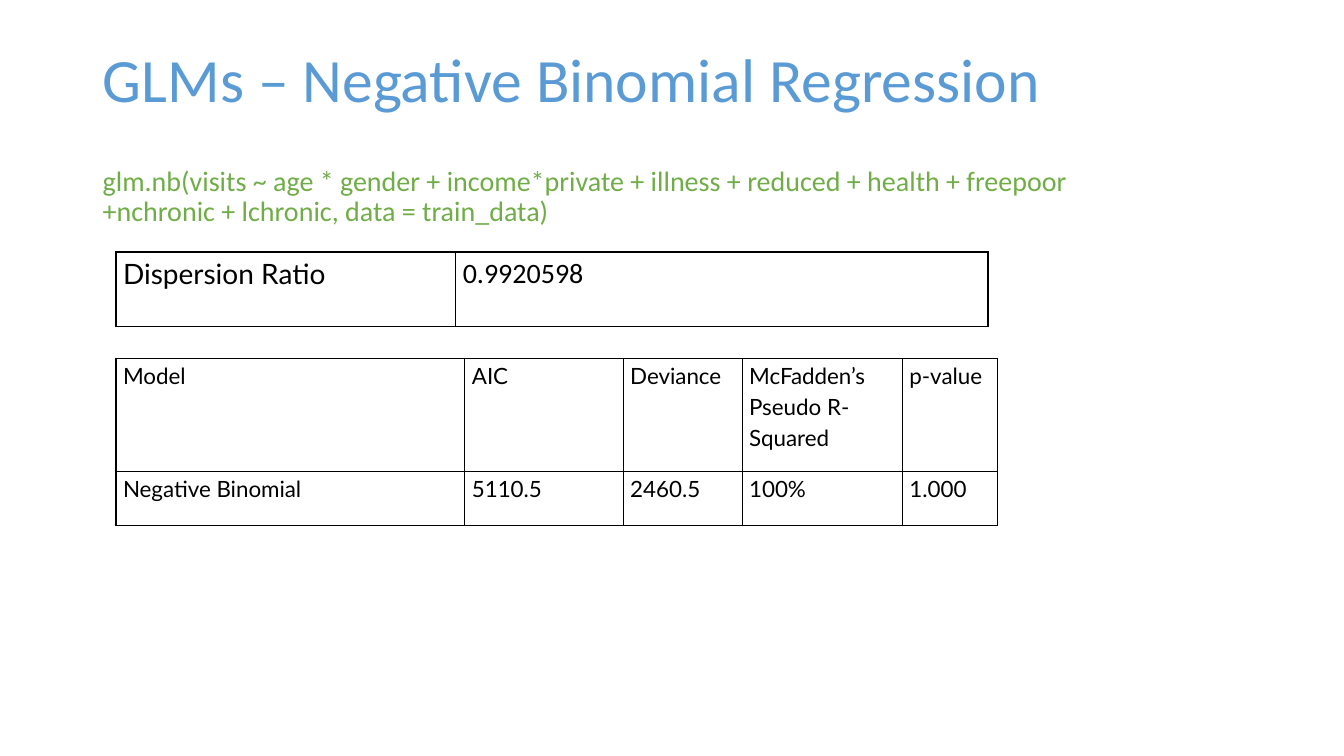
from dataclasses import dataclass

from lxml import etree
from pptx import Presentation
from pptx import util as u
from pptx.dml.color import RGBColor
from pptx.enum import text
from pptx.oxml import ns

COLORS = {"title": "5B9BD5", "formula": "70AD47", "ink": "000000"}
SLIDE_WIDTH, SLIDE_HEIGHT = u.Inches(13.33), u.Inches(7.5)
CELL_INSET = u.Inches(0.07)
BORDER_WIDTH = u.Pt(1)


@dataclass
class TableBlock:
    """Position, columns and rows are percentages of the slide."""
    top: float
    columns: list[float]
    rows: list[float]
    cells: list[list[str]]
    size: int
    fonts: list[str]
    left: float = 8.63


def across(percent: float) -> int:
    return round(SLIDE_WIDTH * percent / 100)


def down(percent: float) -> int:
    return round(SLIDE_HEIGHT * percent / 100)


def place(shape, left: float, top: float, width: float, height: float) -> None:
    shape.left, shape.top = across(left), down(top)
    shape.width, shape.height = across(width), down(height)


def write(frame, content: str, font: str, size: int, color: str,
          line_spacing: float, space_after: int = 0) -> None:
    frame.text = content
    frame.word_wrap = True
    paragraph = frame.paragraphs[0]
    paragraph.alignment = text.PP_ALIGN.LEFT
    paragraph.line_spacing = line_spacing
    paragraph.space_before = u.Pt(0)
    paragraph.space_after = u.Pt(space_after)
    for run in paragraph.runs:
        run.font.name = font
        run.font.size = u.Pt(size)
        run.font.color.rgb = RGBColor.from_string(COLORS[color])


def add_borders(cell) -> None:
    properties = cell._tc.get_or_add_tcPr()
    for side in ("lnL", "lnR", "lnT", "lnB"):
        line = etree.SubElement(properties, ns.qn(f"a:{side}"), w=str(BORDER_WIDTH))
        fill = etree.SubElement(line, ns.qn("a:solidFill"))
        etree.SubElement(fill, ns.qn("a:srgbClr"), val=COLORS["ink"])


def draw_table(slide, block: TableBlock) -> None:
    table = slide.shapes.add_table(
        len(block.rows), len(block.columns), across(block.left), down(block.top),
        across(sum(block.columns)), down(sum(block.rows))).table
    table.first_row = table.horz_banding = False
    for column, width in zip(table.columns, block.columns):
        column.width = across(width)
    for row, height, contents in zip(table.rows, block.rows, block.cells):
        row.height = down(height)
        for cell, content, font in zip(row.cells, contents, block.fonts):
            cell.margin_left = cell.margin_right = CELL_INSET
            cell.margin_top = cell.margin_bottom = 0
            write(cell.text_frame, content, font, block.size, "ink", 1.15, 8)
            add_borders(cell)
            cell.fill.background()


TABLES = [
    TableBlock(33.33, [25.28, 39.61], [9.87],
               [["Dispersion Ratio", "0.9920598"]], 20, ["Lato", "Calibri"]),
    TableBlock(47.47, [25.96, 11.78, 8.85, 11.93, 7.05], [14.93, 7.07],
               [["Model", "AIC", "Deviance", "McFadden’s Pseudo R-Squared", "p-value"],
                ["Negative Binomial", "5110.5", "2460.5", "100%", "1.000"]],
               16, ["Lato"] * 5),
]


def main() -> None:
    presentation = Presentation()
    presentation.slide_width, presentation.slide_height = SLIDE_WIDTH, SLIDE_HEIGHT
    slide = presentation.slides.add_slide(presentation.slide_layouts[5])

    # Title
    title = slide.shapes.title
    place(title, 6.9, 5.33, 85.3, 11.2)
    title.text_frame.auto_size = text.MSO_AUTO_SIZE.NONE
    title.text_frame.vertical_anchor = text.MSO_ANCHOR.MIDDLE
    write(title.text_frame, "GLMs – Negative Binomial Regression",
          "Calibri", 44, "title", 0.9)

    # Model formula
    formula = slide.shapes.add_textbox(0, 0, 0, 0)
    place(formula, 6.9, 21.47, 86.27, 68.53)
    write(formula.text_frame,
          "glm.nb(visits ~ age * gender + income*private + illness + reduced"
          " + health + freepoor\v+nchronic + lchronic, data = train_data)",
          "Calibri", 20, "formula", 0.9)

    # Result tables
    for block in TABLES:
        draw_table(slide, block)

    presentation.save("out.pptx")


if __name__ == "__main__":
    main()
